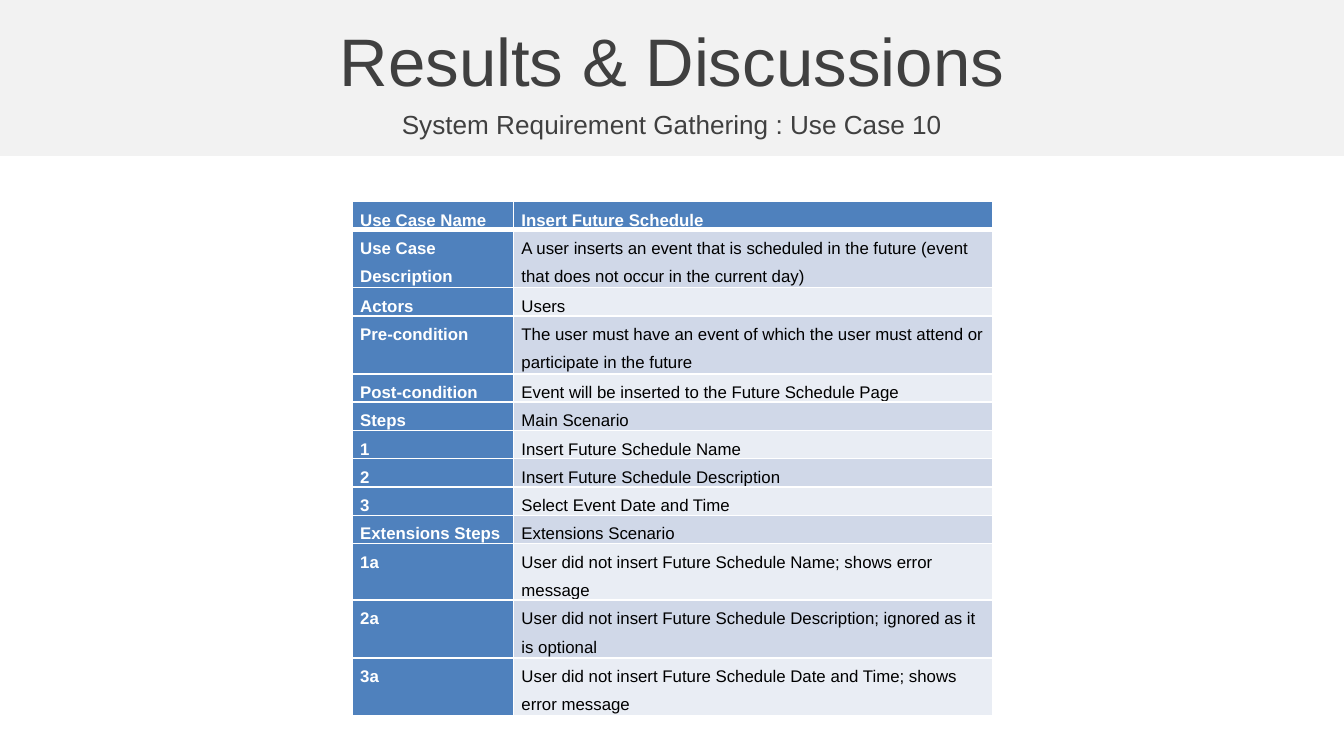
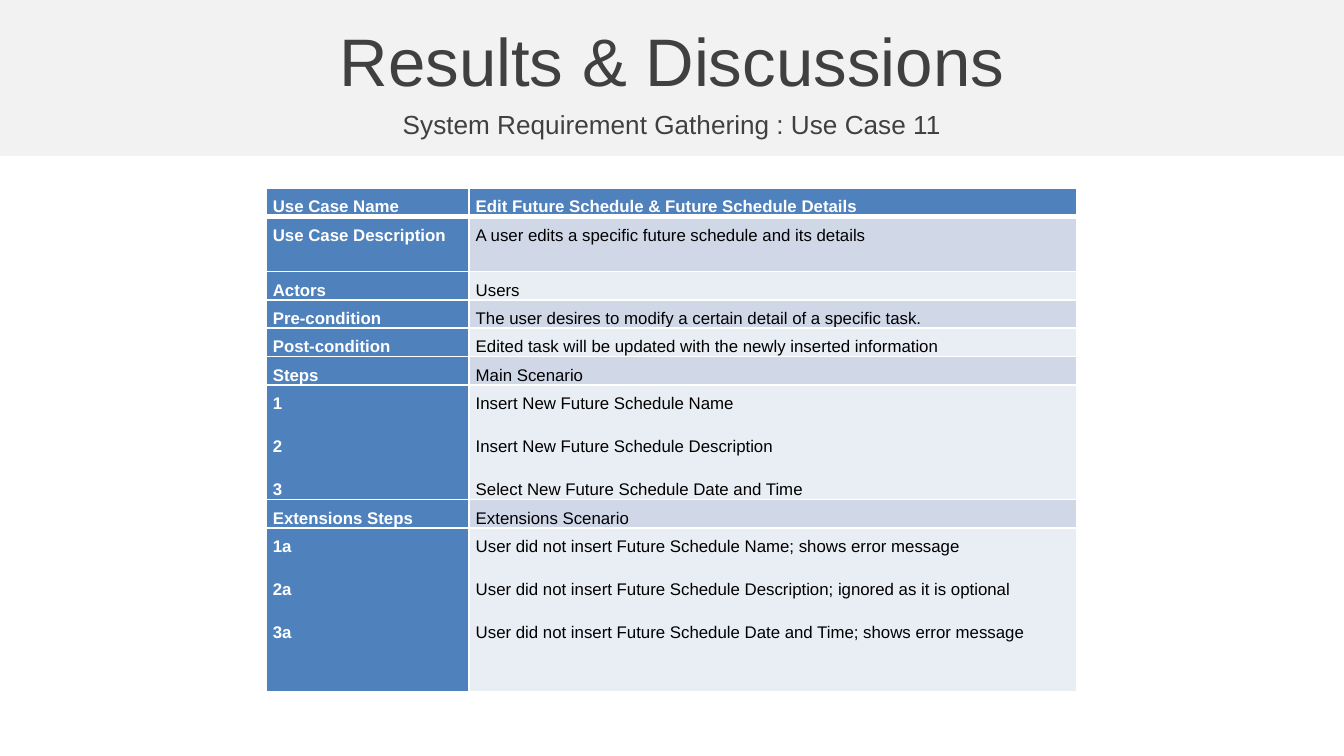
from lxml.etree import SubElement
from pptx import Presentation
from pptx.dml.color import RGBColor
from pptx.enum.shapes import MSO_SHAPE
from pptx.enum.text import MSO_ANCHOR, MSO_AUTO_SIZE, PP_ALIGN
from pptx.oxml.ns import qn
from pptx.util import Inches, Pt

COLORS = {
    "band": "F2F2F2",
    "heading": "404040",
    "label": "4F81BD",
    "odd": "D0D8E8",
    "even": "E9EDF4",
    "white": "FFFFFF",
    "black": "000000",
}
FONT = "Arial"

# Each row: label, content, height; a line break starts a new paragraph
USE_CASE_10 = [
    ("Use Case Name", "Insert Future Schedule", 0.2),
    ("Use Case Description", "A user inserts an event that is scheduled in the future "
     "(event that does not occur in the current day)", 0.43),
    ("Actors", "Users", 0.2),
    ("Pre-condition", "The user must have an event of which the user must attend "
     "or participate in the future", 0.43),
    ("Post-condition", "Event will be inserted to the Future Schedule Page", 0.2),
    ("Steps", "Main Scenario", 0.2),
    ("1", "Insert Future Schedule Name", 0.2),
    ("2", "Insert Future Schedule Description", 0.2),
    ("3", "Select Event Date and Time", 0.2),
    ("Extensions Steps", "Extensions Scenario", 0.2),
    ("1a", "User did not insert Future Schedule Name; shows error message", 0.2),
    ("2a", "User did not insert Future Schedule Description; ignored as it is optional", 0.43),
    ("3a", "User did not insert Future Schedule Date and Time; shows error message", 0.43),
]
USE_CASE_11 = [
    ("Use Case Name", "Edit Future Schedule & Future Schedule Details", 0.19),
    ("Use Case Description", "A user edits a specific future schedule and its details", 0.41),
    ("Actors", "Users", 0.19),
    ("Pre-condition", "The user desires to modify a certain detail of a specific task.", 0.19),
    ("Post-condition", "Edited task will be updated with the newly inserted information", 0.19),
    ("Steps", "Main Scenario", 0.19),
    ("1\n2\n3", "Insert New Future Schedule Name\nInsert New Future Schedule Description\n"
     "Select New Future Schedule Date and Time", 0.78),
    ("Extensions Steps", "Extensions Scenario", 0.19),
    ("1a\n2a\n3a", "User did not insert Future Schedule Name; shows error message\n"
     "User did not insert Future Schedule Description; ignored as it is optional\n"
     "User did not insert Future Schedule Date and Time; shows error message", 1.22),
]


def rgb(name):
    return RGBColor.from_string(COLORS[name])


class Deck:
    def __init__(self):
        self.prs = Presentation()
        self.prs.slide_width = Inches(10)
        self.prs.slide_height = Inches(10 * 9 / 16)
        self.slide = None

    def add_slide(self, subtitle):
        self.slide = self.prs.slides.add_slide(self.prs.slide_layouts[1])
        self.band()
        self.heading(self.slide.shapes.title, "Results & Discussions", 0.13, 0.63, 36)
        self.heading(self.slide.placeholders[1], subtitle, 0.77, 0.31, 14)

    def band(self):
        band = self.slide.shapes.add_shape(
            MSO_SHAPE.RECTANGLE, 0, 0, self.prs.slide_width, Inches(1.16))
        band.shadow.inherit = False
        band.fill.solid()
        band.fill.fore_color.rgb = rgb("band")
        band.line.fill.background()
        # Send the band behind the headings
        self.slide.shapes._spTree.insert(2, band._element)

    def heading(self, holder, text, top, height, size):
        holder.left, holder.top = 0, Inches(top)
        holder.width, holder.height = self.prs.slide_width, Inches(height)
        frame = holder.text_frame
        frame.text = text
        frame.auto_size = MSO_AUTO_SIZE.NONE
        frame.vertical_anchor = MSO_ANCHOR.MIDDLE
        paragraph = frame.paragraphs[0]
        props = paragraph._p.get_or_add_pPr()
        props.set("marL", "0")
        props.set("indent", "0")
        SubElement(props, qn("a:buNone"))
        paragraph.space_before = Pt(0)
        self.style(paragraph, size, "heading", PP_ALIGN.CENTER)

    def style(self, paragraph, size, color, align, bold=False):
        paragraph.alignment = align
        for run in paragraph.runs:
            run.font.name = FONT
            run.font.size = Pt(size)
            run.font.bold = bold
            run.font.color.rgb = rgb(color)

    def table(self, rows, left, top, widths, height, margin, align):
        frame = self.slide.shapes.add_table(
            len(rows), len(widths), Inches(left), Inches(top),
            Inches(sum(widths)), Inches(height))
        grid = frame.table
        for column, width in zip(grid.columns, widths):
            column.width = Inches(width)
        for r, (label, content, row_height) in enumerate(rows):
            grid.rows[r].height = Inches(row_height)
            for c, text in enumerate((label, content)):
                self.cell(grid.cell(r, c), text, r, c, margin, align)
        frame.height = Inches(height)

    def cell(self, cell, text, row, column, margin, align):
        is_label = row == 0 or column == 0
        # A thick rule separates the header from the first row
        self.borders(cell, top=3 if row == 1 else 1, bottom=3 if row == 0 else 1)
        cell.fill.solid()
        cell.fill.fore_color.rgb = rgb("label" if is_label else "odd" if row % 2 else "even")
        cell.margin_left = cell.margin_right = Inches(margin)
        cell.margin_top = cell.margin_bottom = 0
        cell.text_frame.text = text
        for paragraph in cell.text_frame.paragraphs:
            paragraph.line_spacing = 1.5
            paragraph.space_after = Pt(8)
            self.style(paragraph, 9, "white" if is_label else "black", align, is_label)

    def borders(self, cell, top, bottom):
        props = cell._tc.get_or_add_tcPr()
        for side, width in (("L", 1), ("R", 1), ("T", top), ("B", bottom)):
            line = SubElement(props, qn(f"a:ln{side}"), w=str(Pt(width)))
            fill = SubElement(line, qn("a:solidFill"))
            SubElement(fill, qn("a:srgbClr"), val=COLORS["white"])


def main():
    deck = Deck()

    # Use case 10
    deck.add_slide("System Requirement Gathering : Use Case 10")
    deck.table(USE_CASE_10, 2.62, 1.5, (1.2, 3.57), 3.79, 0.06, PP_ALIGN.LEFT)

    # Use case 11
    deck.add_slide("System Requirement Gathering : Use Case 11")
    deck.table(USE_CASE_11, 1.98, 1.4, (1.51, 4.52), 3.7, 0.05, PP_ALIGN.JUSTIFY)

    deck.prs.save("out.pptx")


if __name__ == "__main__":
    main()
